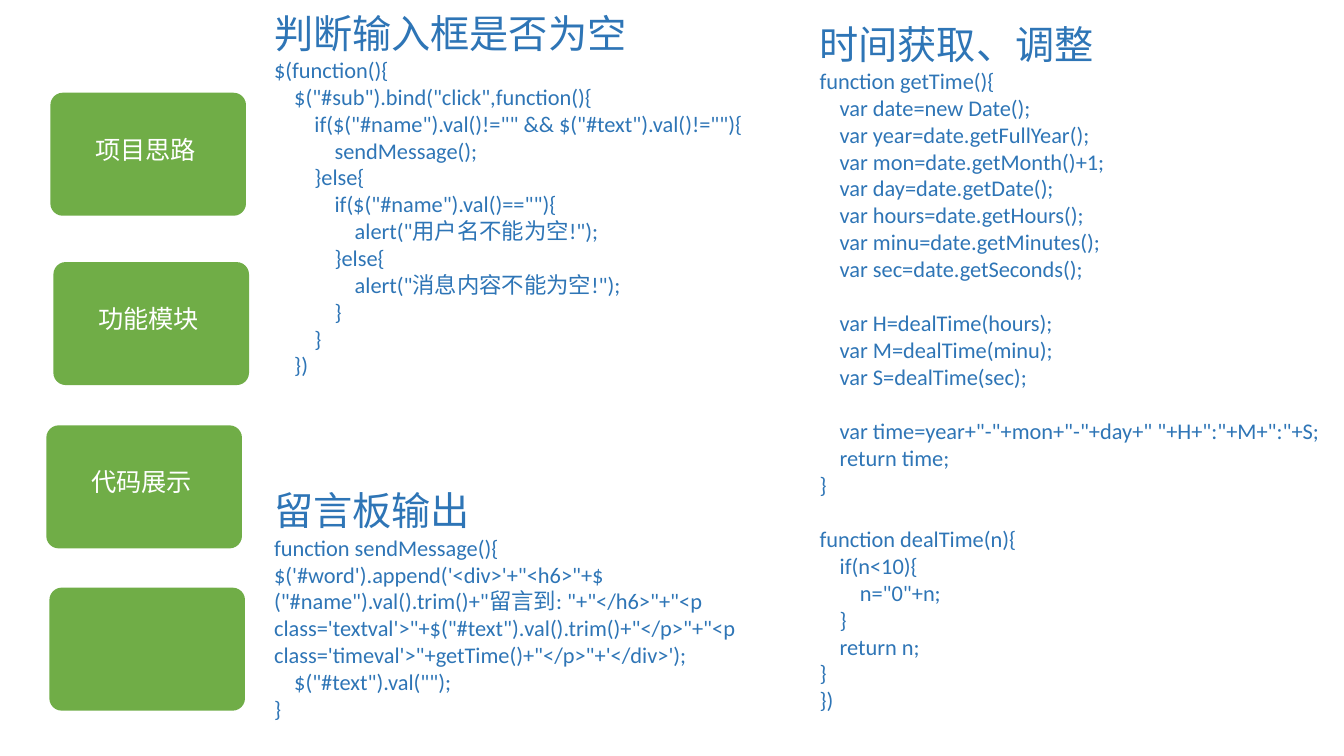
from dataclasses import dataclass
from pptx import Presentation
from pptx.dml.color import RGBColor
from pptx.enum.shapes import MSO_SHAPE
from pptx.enum.text import MSO_ANCHOR, PP_ALIGN
from pptx.util import Inches, Pt

ROUNDED = MSO_SHAPE.ROUNDED_RECTANGLE
MIDDLE = MSO_ANCHOR.MIDDLE
CENTER = PP_ALIGN.CENTER


@dataclass(frozen=True)
class Theme:
    green: RGBColor = RGBColor(0x70, 0xAD, 0x47)
    blue: RGBColor = RGBColor(0x2E, 0x75, 0xB6)
    white: RGBColor = RGBColor(0xFF, 0xFF, 0xFF)
    body_font: str = "Calibri"
    heading_font: str = "Noto Sans CJK SC"
    heading: int = 28
    label: int = 18
    code: int = 16
    code_line: float = 19.5
    indent: float = 0.2


THEME = Theme()

NAV_SIZE = (1.94, 1.22)
NAV_ITEMS = [
    ("项目思路", 0.5, 0.92),
    ("功能模块", 0.53, 2.6),
    ("代码展示", 0.46, 4.22),
    ("", 0.49, 5.83),
]

CHECK_EMPTY = """$(function(){
    $("#sub").bind("click",function(){
        if($("#name").val()!="" && $("#text").val()!=""){
            sendMessage();
        }else{
            if($("#name").val()==""){
                alert("用户名不能为空!");
            }else{
                alert("消息内容不能为空!");
            }
        }
    })"""

SEND_MESSAGE = """function sendMessage(){
$('#word').append('<div>'+"<h6>"+$("#name").val().trim()+"留言到: "+"</h6>"+"<p class='textval'>"+$("#text").val().trim()+"</p>"+"<p class='timeval'>"+getTime()+"</p>"+'</div>');
    $("#text").val("");
}"""

GET_TIME = """function getTime(){
    var date=new Date();
    var year=date.getFullYear();
    var mon=date.getMonth()+1;
    var day=date.getDate();
    var hours=date.getHours();
    var minu=date.getMinutes();
    var sec=date.getSeconds();

    var H=dealTime(hours);
    var M=dealTime(minu);
    var S=dealTime(sec);

    var time=year+"-"+mon+"-"+day+" "+H+":"+M+":"+S;
    return time;
}

function dealTime(n){
    if(n<10){
        n="0"+n;
    }
    return n;
}
})"""

CODE_PANELS = [
    ("判断输入框是否为空", CHECK_EMPTY, (2.62, 0.04, 5.4, 3.8)),
    ("留言板输出", SEND_MESSAGE, (2.62, 4.78, 5.4, 2.46)),
    ("时间获取、调整", GET_TIME, (8.03, 0.15, 5.3, 7.03)),
]


def set_font(p, name, size, color):
    p.font.name = name
    p.font.size = Pt(size)
    p.font.color.rgb = color


def add_nav_button(s, label, box):
    sp = s.shapes.add_shape(ROUNDED, *map(Inches, box))
    sp.adjustments[0] = 0.1
    sp.shadow.inherit = False
    sp.fill.solid()
    sp.fill.fore_color.rgb = THEME.green
    sp.line.fill.background()
    if label:
        tf = sp.text_frame
        tf.vertical_anchor = MIDDLE
        tf.margin_right = tf.margin_bottom = Inches(0.15)
        p = tf.paragraphs[0]
        p.text = label
        p.alignment = CENTER
        set_font(p, THEME.body_font, THEME.label, THEME.white)


def add_code_panel(s, heading, code, box):
    tf = s.shapes.add_textbox(*map(Inches, box)).text_frame
    tf.word_wrap = True
    p = tf.paragraphs[0]
    p.text = heading
    set_font(p, THEME.heading_font, THEME.heading, THEME.blue)
    gap = 0
    for line in code.splitlines():
        text = line.lstrip()
        if not text:
            gap = THEME.code_line
            continue
        p = tf.add_paragraph()
        p.text = text
        p.space_before = Pt(gap)
        depth = (len(line) - len(text)) // 4
        pPr = p._p.get_or_add_pPr()
        pPr.set("marL", str(Inches(depth * THEME.indent)))
        pPr.set("indent", "0")
        set_font(p, THEME.body_font, THEME.code, THEME.blue)
        gap = 0


def build_code_slide(prs):
    s = prs.slides.add_slide(prs.slide_layouts[6])
    for label, left, top in NAV_ITEMS:
        add_nav_button(s, label, (left, top, *NAV_SIZE))
    for heading, code, box in CODE_PANELS:
        add_code_panel(s, heading, code, box)


prs = Presentation()
prs.slide_width = Inches(13.33)
prs.slide_height = Inches(7.5)
build_code_slide(prs)
prs.save("out.pptx")
